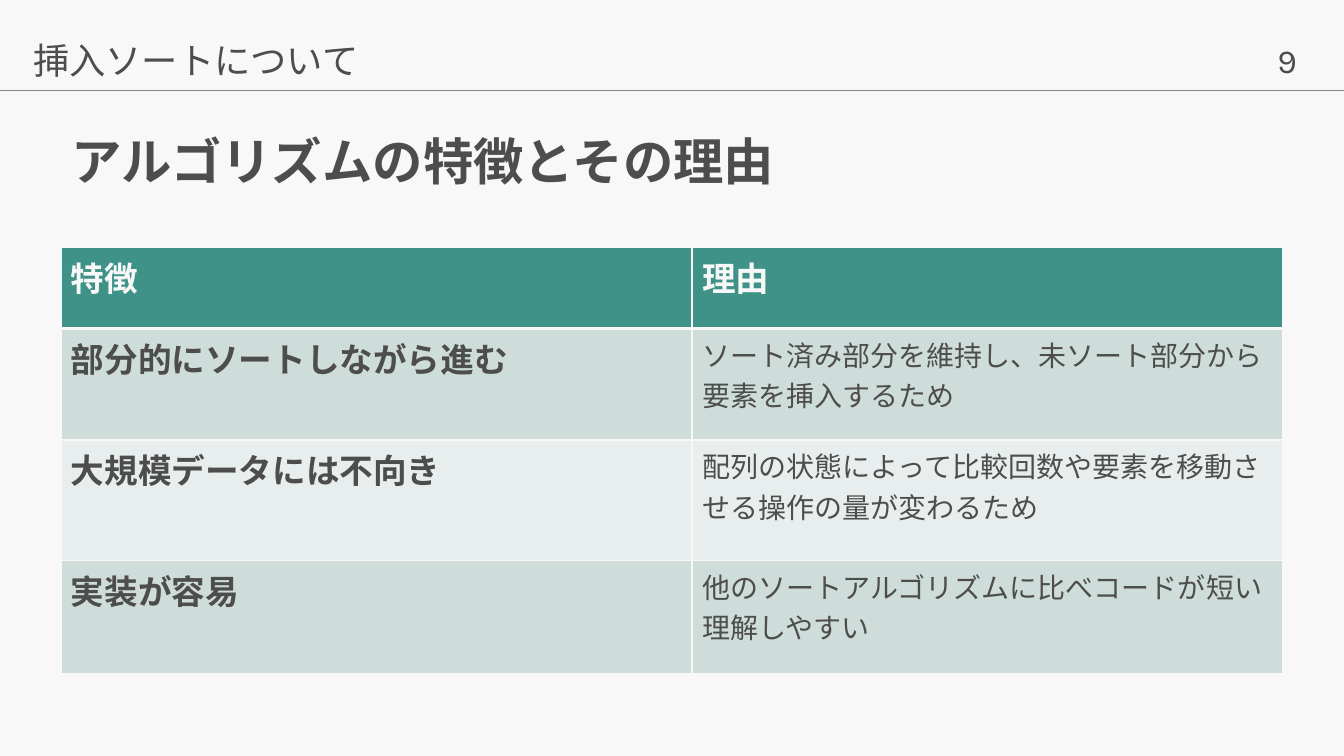
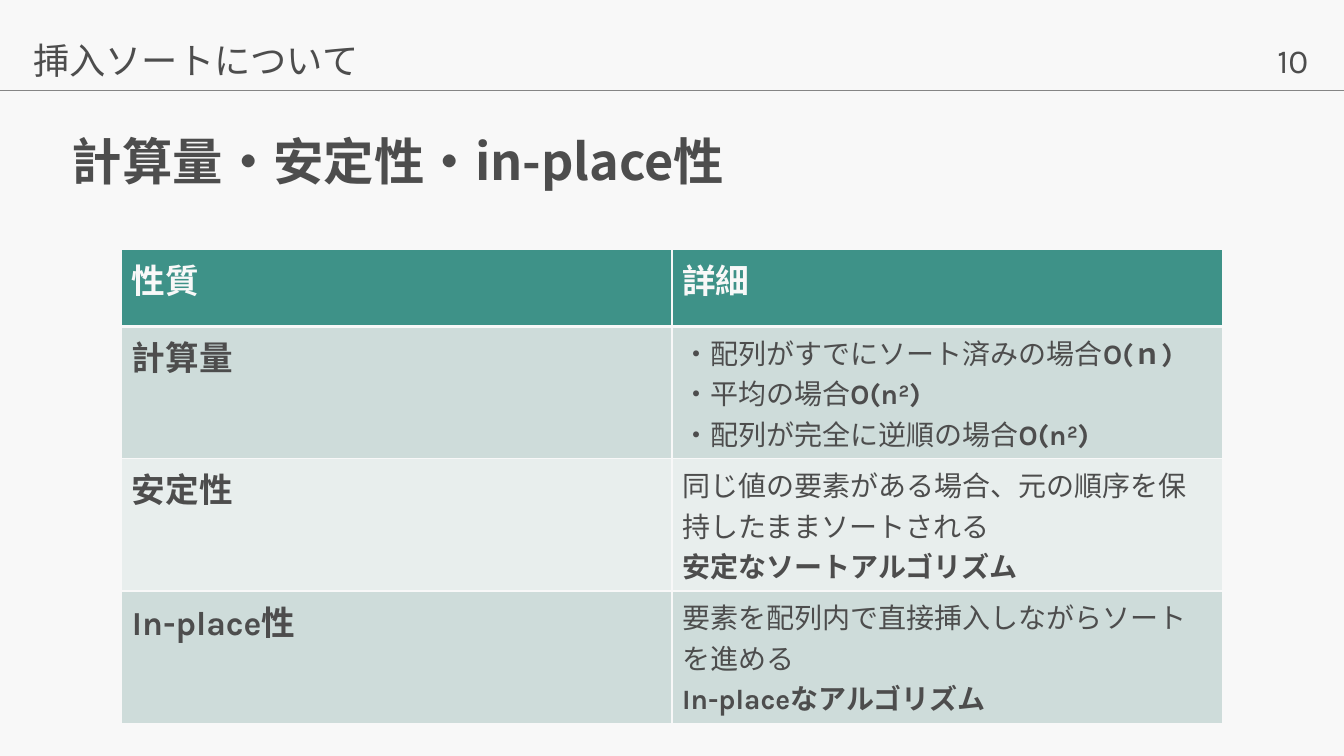
"""Two slides on the features and properties of insertion sort."""
import pptx
import pptx.dml.color
import pptx.enum.shapes
import pptx.enum.text
import pptx.oxml
import pptx.oxml.ns
import pptx.util

COLORS = {
    "paper": "F8F8F8",
    "ink": "4D4D4D",
    "rule": "858585",
    "heading": "3E9288",
    "odd": "CEDCDA",
    "even": "E8EEED",
}
LATIN, JAPANESE = "Karla", "Noto Sans CJK JP"
PX = 9525
WIDTH, HEIGHT = 1280, 720
RULE_Y = 86
SECTION = "挿入ソートについて"

SLIDES = [
    {
        "number": "9",
        "title": "アルゴリズムの特徴とその理由",
        "origin": (58, 236),
        "columns": (601, 563),
        "rows": (77, 106, 115, 108),
        "headings": ("特徴", "理由"),
        "entries": [
            ("部分的にソートしながら進む",
             [("ソート済み部分を維持し、未ソート部分から要素を挿入するため", "")]),
            ("大規模データには不向き",
             [("配列の状態によって比較回数や要素を移動させる操作の量が変わるため", "")]),
            ("実装が容易",
             [("他のソートアルゴリズムに比べコードが短い", ""), ("理解しやすい", "")]),
        ],
    },
    {
        "number": "10",
        "title": "計算量・安定性・in-place性",
        "origin": (116, 238),
        "columns": (524, 524),
        "rows": (73, 126, 126, 126),
        "headings": ("性質", "詳細"),
        "entries": [
            ("計算量",
             [("・配列がすでにソート済みの場合", "O(ｎ)"),
              ("・平均の場合", "O(n²)"),
              ("・配列が完全に逆順の場合", "O(n²)")]),
            ("安定性",
             [("同じ値の要素がある場合、元の順序を保持したままソートされる", ""),
              ("", "安定なソートアルゴリズム")]),
            ("In-place性",
             [("要素を配列内で直接挿入しながらソートを進める", ""),
              ("", "In-placeなアルゴリズム")]),
        ],
    },
]


def px(*lengths):
    return [pptx.util.Emu(length * PX) for length in lengths]


def rgb(name):
    return pptx.dml.color.RGBColor.from_string(COLORS[name])


def style_run(run, size, color="ink", bold=False, latin=LATIN):
    run.font.size = pptx.util.Pt(size)
    run.font.bold = bold
    run.font.name = latin
    run.font.color.rgb = rgb(color)
    east_asian = pptx.oxml.parse_xml(
        f'<a:ea {pptx.oxml.ns.nsdecls("a")} typeface="{JAPANESE}"/>')
    run.font._element.append(east_asian)


def add_label(slide, box, text, size, bold=False, latin=JAPANESE, spacing=0.9,
              anchor=pptx.enum.text.MSO_ANCHOR.TOP, wrap=True):
    frame = slide.shapes.add_textbox(*px(*box)).text_frame
    frame.word_wrap = wrap
    frame.vertical_anchor = anchor
    frame.text = text
    line = frame.paragraphs[0]
    line.line_spacing = spacing
    style_run(line.runs[0], size, bold=bold, latin=latin)


def add_rule(slide):
    rule = slide.shapes.add_connector(
        pptx.enum.shapes.MSO_CONNECTOR.STRAIGHT, *px(0, RULE_Y, WIDTH, RULE_Y))
    rule.line.color.rgb = rgb("rule")
    rule.line.width = pptx.util.Pt(1)
    rule._element.spPr.append(
        pptx.oxml.parse_xml(f'<a:effectLst {pptx.oxml.ns.nsdecls("a")}/>'))


def style_cell(cell, row):
    widths = {"L": 1, "R": 1, "T": 3 if row == 1 else 1, "B": 3 if row == 0 else 1}
    properties = cell._tc.get_or_add_tcPr()
    for side, width in widths.items():
        properties.append(pptx.oxml.parse_xml(
            f'<a:ln{side} {pptx.oxml.ns.nsdecls("a")} w="{pptx.util.Pt(width)}">'
            f'<a:solidFill><a:srgbClr val="{COLORS["paper"]}"/></a:solidFill>'
            f'</a:ln{side}>'))
    cell.fill.solid()
    band = "odd" if row % 2 else "even"
    cell.fill.fore_color.rgb = rgb(band if row else "heading")


def fill_cell(cell, lines, size, color="ink"):
    frame = cell.text_frame
    for index, parts in enumerate(lines):
        paragraph = frame.add_paragraph() if index else frame.paragraphs[0]
        for text, bold in zip(parts, (False, True)):
            if text:
                run = paragraph.add_run()
                run.text = text
                style_run(run, size, color, bold)


def add_comparison(slide, content):
    columns, rows = content["columns"], content["rows"]
    table = slide.shapes.add_table(
        len(rows), len(columns),
        *px(*content["origin"], sum(columns), sum(rows))).table
    table.horz_banding = False
    for column, width in zip(table.columns, px(*columns)):
        column.width = width
    for row, height in zip(table.rows, px(*rows)):
        row.height = height
    for column, heading in enumerate(content["headings"]):
        fill_cell(table.cell(0, column), [("", heading)], 24, "paper")
    for row, (term, details) in enumerate(content["entries"], 1):
        fill_cell(table.cell(row, 0), [("", term)], 24)
        fill_cell(table.cell(row, 1), details, 20)
    for row in range(len(rows)):
        for column in range(len(columns)):
            style_cell(table.cell(row, column), row)


def add_frame(slide, content):
    slide.background.fill.solid()
    slide.background.fill.fore_color.rgb = rgb("paper")
    add_label(slide, (1207, 33, 58, 48), content["number"], 24,
              latin=LATIN, spacing=1.0, wrap=False)
    add_rule(slide)
    add_label(slide, (59, 107, 1165, 99), content["title"], 36, bold=True,
              anchor=pptx.enum.text.MSO_ANCHOR.MIDDLE)
    add_label(slide, (22, 36, 1203, 49), SECTION, 25.9)


def main():
    deck = pptx.Presentation()
    deck.slide_width, deck.slide_height = px(WIDTH, HEIGHT)
    for content in SLIDES:
        slide = deck.slides.add_slide(deck.slide_layouts[6])
        add_frame(slide, content)
        add_comparison(slide, content)
    deck.save("out.pptx")


if __name__ == "__main__":
    main()
